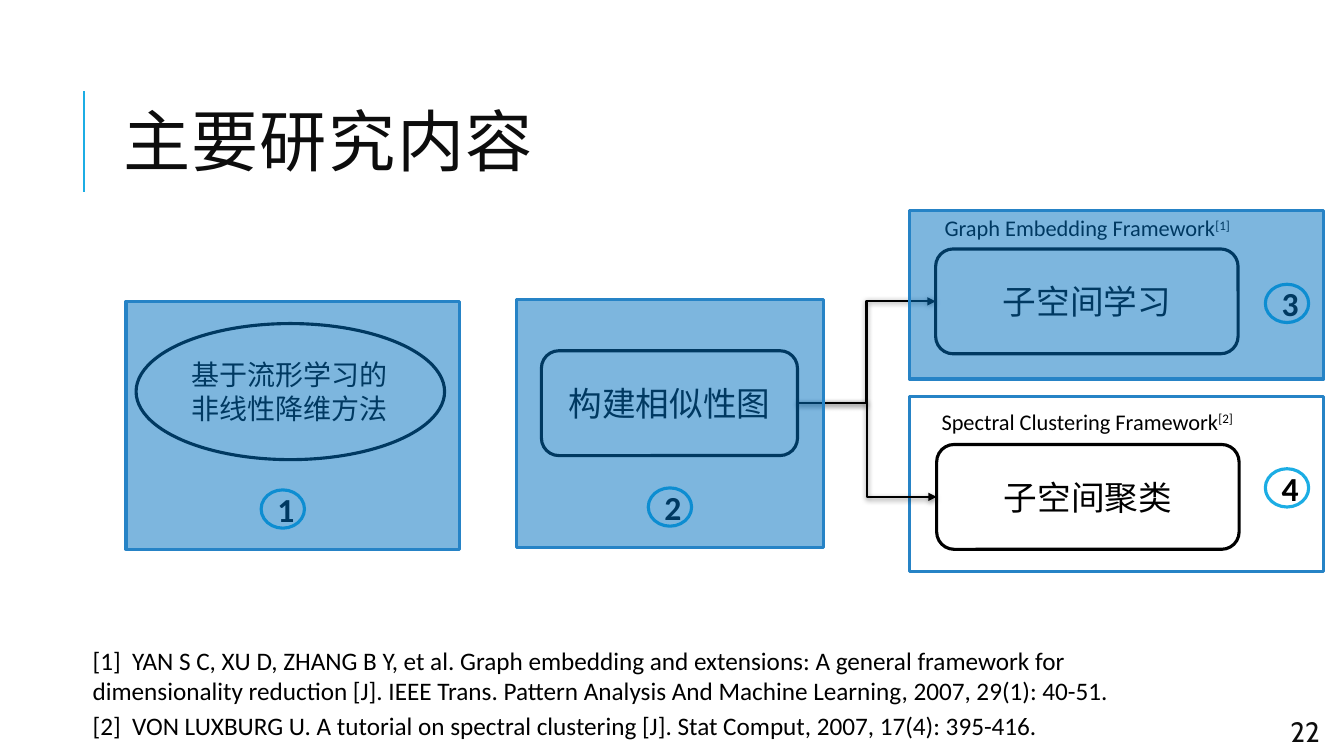
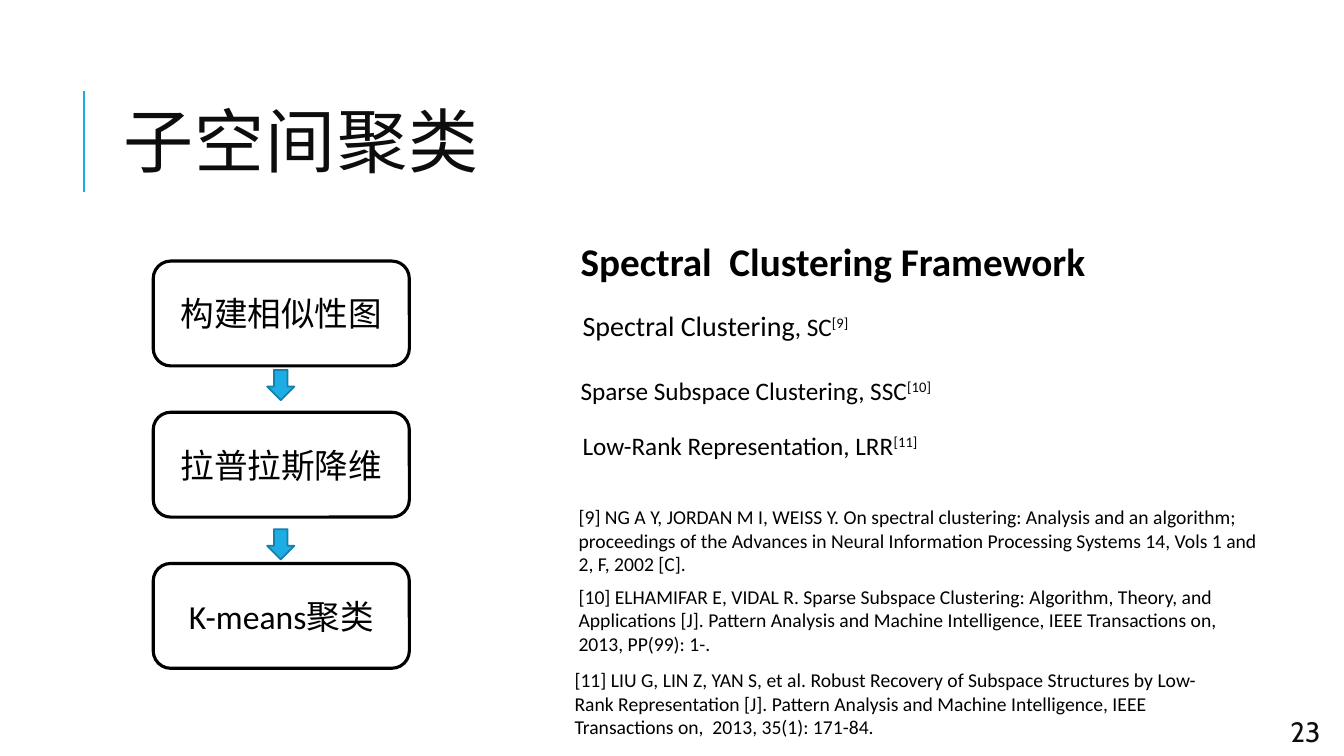
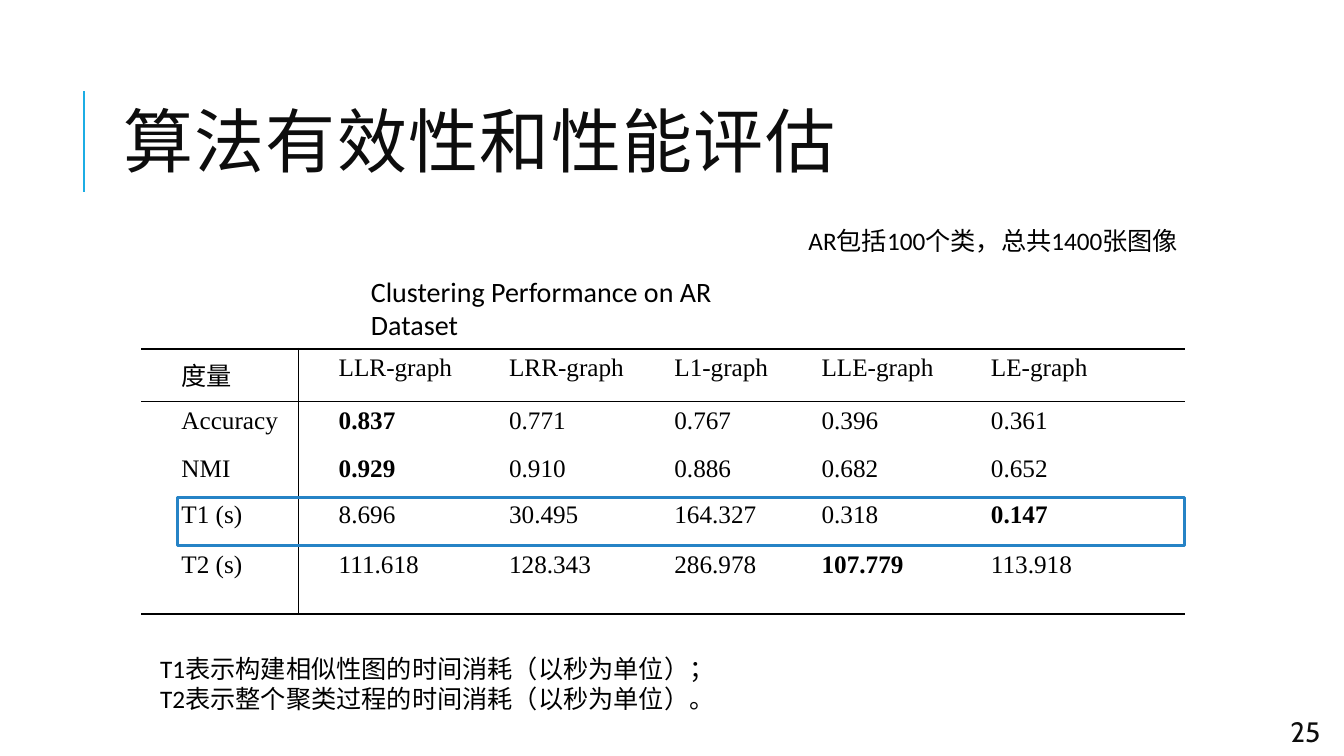
from lxml.etree import SubElement
from pptx import Presentation
from pptx.dml.color import RGBColor
from pptx.enum.shapes import MSO_CONNECTOR, MSO_SHAPE
from pptx.enum.text import MSO_ANCHOR, MSO_AUTO_SIZE, PP_ALIGN
from pptx.oxml.ns import qn
from pptx.util import Inches, Pt

BLACK, WHITE, INK = "000000", "FFFFFF", "0D0D0D"
CYAN, DARK_CYAN, BLUE, VEIL = "1CADE4", "1580A9", "2683C6", "0070C0"
rgb = RGBColor.from_string


def write(paragraph, *runs, font="Calibri", color=BLACK, bold=False, align=PP_ALIGN.LEFT):
    """Add runs given as (text, size) or (text, size, baseline percent)."""
    paragraph.alignment = align
    for text, size, *baseline in runs:
        run = paragraph.add_run()
        run.text = text
        for key, value in {"name": font, "size": Pt(size), "bold": bold}.items():
            setattr(run.font, key, value)
        run.font.color.rgb = rgb(color)
        if baseline:
            run.font._element.set("baseline", str(baseline[0] * 1000))


def add_box(slide, preset, at, line, fill=None, width=2.25, alpha=None):
    box = slide.shapes.add_shape(preset, *map(Inches, at))
    box.shadow.inherit = False
    box.line.color.rgb = rgb(line)
    box.line.width = Pt(width)
    if fill is None:
        box.fill.background()
    else:
        box.fill.solid()
        box.fill.fore_color.rgb = rgb(fill)
    if alpha:
        fill_color = box.element.spPr.find(qn("a:solidFill"))[0]
        SubElement(fill_color, qn("a:alpha"), val=str(alpha * 1000))
    return box


prs = Presentation()
prs.slide_width, prs.slide_height = Inches(13.33), Inches(7.5)
layout = prs.slide_layouts[5]
title_area = layout.placeholders[0]
for side, length in zip(("left", "top", "width", "height"), (1.12, 0.64, 10.63, 1.64)):
    setattr(title_area, side, Inches(length))

# Title, title size, page number, and text blocks as (at, bold, paragraphs)
pages = [
    ("主要研究内容", 48, "22", [
        ((9.27, 2.08, 3.3, 0.37), False, [[("Graph Embedding Framework", 16), ("[1]", 16, 30)]]),
        ((9.24, 4, 3.3, 0.37), False, [[("Spectral Clustering Framework", 16), ("[2]", 16, 30)]]),
        ((0.82, 6.35, 10.81, 0.71), False, [[(
            "[1]  YAN S C, XU D, ZHANG B Y, et al. Graph embedding and extensions: A general "
            "framework for dimensionality reduction [J]. IEEE Trans. Pattern Analysis And "
            "Machine Learning, 2007, 29(1): 40-51.", 18)]]),
        ((0.82, 7, 10.69, 0.4), False, [[(
            "[2]  VON LUXBURG U. A tutorial on spectral clustering [J]. Stat Comput, 2007, "
            "17(4): 395-416.", 18)]]),
    ]),
    ("子空间聚类", 50, "23", [
        ((5.66, 2.31, 5.35, 0.57), True, [[("Spectral  Clustering Framework", 28)]]),
        ((5.68, 3.01, 2.92, 0.74), False,
         [[("Spectral Clustering", 20), (", SC", 18), ("[9]", 18, 30)]]),
        ((5.66, 3.67, 3.83, 0.4), False,
         [[("Sparse Subspace Clustering, SSC", 18), ("[10]", 18, 30)]]),
        ((5.68, 4.22, 3.57, 0.4), False,
         [[("Low-Rank Representation, LRR", 18), ("[11]", 18, 30)]]),
        ((5.64, 4.96, 6.99, 0.81), False, [[(
            "[9] NG A Y, JORDAN M I, WEISS Y. On spectral clustering: Analysis and an "
            "algorithm; proceedings of the Advances in Neural Information Processing "
            "Systems 14, Vols 1 and 2, F, 2002 [C].", 14)]]),
        ((5.64, 5.75, 6.67, 0.81), False, [[(
            "[10] ELHAMIFAR E, VIDAL R. Sparse Subspace Clustering: Algorithm, Theory, and "
            "Applications [J]. Pattern Analysis and Machine Intelligence, IEEE Transactions "
            "on, 2013, PP(99): 1-.", 14)]]),
        ((5.6, 6.58, 6.67, 0.81), False, [[(
            "[11] LIU G, LIN Z, YAN S, et al. Robust Recovery of Subspace Structures by "
            "Low-Rank Representation [J]. Pattern Analysis and Machine Intelligence, IEEE "
            "Transactions on,  2013, 35(1): 171-84.", 14)]]),
    ]),
    ("算法有效性和性能评估", 50, "25", [
        ((7.92, 2.19, 3.97, 0.4), False, [[("AR包括100个类，总共1400张图像", 18)]]),
        ((3.58, 2.67, 4.44, 0.44), False, [[("Clustering Performance on AR Dataset", 20)]]),
        ((1.49, 6.43, 5.9, 0.71), False, [
            [("T1表示构建相似性图的时间消耗（以秒为单位）；", 18)],
            [("T2表示整个聚类过程的时间消耗（以秒为单位）。", 18)]]),
    ]),
]

slides = []
for heading, heading_size, number, blocks in pages:
    slide = prs.slides.add_slide(layout)
    slides.append(slide)
    frame = slide.shapes.title.text_frame
    frame.auto_size = MSO_AUTO_SIZE.NONE
    frame.vertical_anchor = MSO_ANCHOR.MIDDLE
    line = frame.paragraphs[0]
    line.line_spacing = 0.8
    write(line, (heading, heading_size), font="Cabin", color=INK)
    line.runs[0].font._element.set("spc", "100")

    page_number = slide.shapes.add_textbox(*map(Inches, (12.7, 7.11, 0.63, 0.3))).text_frame
    page_number.vertical_anchor = MSO_ANCHOR.MIDDLE
    write(page_number.paragraphs[0], (number, 20), font="Cabin", color=INK)

    for at, bold, paragraphs in blocks:
        frame = slide.shapes.add_textbox(*map(Inches, at)).text_frame
        frame.word_wrap = True
        for index, runs in enumerate(paragraphs):
            paragraph = frame.add_paragraph() if index else frame.paragraphs[0]
            write(paragraph, *runs, bold=bold)

overview, clustering, evaluation = slides

# The accent line beside the title belongs to the layout
accent = overview.shapes.add_connector(
    MSO_CONNECTOR.STRAIGHT, *map(Inches, (0.83, 1.9, 0.83, 0.9)))
accent.line.color.rgb = rgb(CYAN)
accent.line.width = Pt(1.5)
SubElement(accent.element.spPr, qn("a:effectLst"))
layout.shapes.element.append(accent.element)

# Research overview
add_box(overview, MSO_SHAPE.RECTANGLE, (9.02, 3.93, 4.11, 1.74), BLUE)
steps = []
for label, at in [("构建相似性图", (5.37, 3.48, 2.54, 1.04)),
                  ("子空间学习", (9.28, 2.47, 3, 1.04)),
                  ("子空间聚类", (9.29, 4.41, 3, 1.04))]:
    step = add_box(overview, MSO_SHAPE.ROUNDED_RECTANGLE, at, BLACK, WHITE)
    write(step.text_frame.paragraphs[0], (label, 24), align=PP_ALIGN.CENTER)
    steps.append(step)

graph, *targets = steps
for target in targets:
    branch = overview.shapes.add_connector(MSO_CONNECTOR.ELBOW, 0, 0, 0, 0)
    branch.begin_connect(graph, 3)
    branch.end_connect(target, 1)
    branch.line.color.rgb = rgb(BLACK)
    branch.line.width = Pt(1.5)
    SubElement(branch.line._get_or_add_ln(), qn("a:tailEnd"), type="triangle")
    effects = SubElement(branch.element.spPr, qn("a:effectLst"))
    shadow = SubElement(effects, qn("a:outerShdw"), blurRad=str(Pt(4)), dist=str(Pt(1)),
                        dir="5400000", rotWithShape="0")
    shade = SubElement(shadow, qn("a:srgbClr"), val=BLACK)
    SubElement(shade, qn("a:alpha"), val="50000")

manifold = add_box(overview, MSO_SHAPE.OVAL, (1.35, 3.21, 3.06, 1.35), BLACK, WHITE)
write(manifold.text_frame.paragraphs[0], ("基于流形学习的非线性降维方法", 20))

badge_corners = [(2.59, 4.86), (6.43, 4.84), (12.55, 2.82), (12.55, 4.65)]
for number, corner in enumerate(badge_corners, 1):
    badge = add_box(overview, MSO_SHAPE.OVAL, (*corner, 0.43, 0.38), CYAN, WHITE)
    write(badge.text_frame.paragraphs[0], (str(number), 24), bold=True, align=PP_ALIGN.CENTER)

for at in [(1.25, 2.99, 3.31, 2.46), (5.12, 2.97, 3.05, 2.46), (9.02, 2.09, 4.11, 1.67)]:
    add_box(overview, MSO_SHAPE.RECTANGLE, at, BLUE, VEIL, alpha=51)

# Subspace clustering flow
for index, label in enumerate(["构建相似性图", "拉普拉斯降维", "K-means聚类"]):
    stage = add_box(clustering, MSO_SHAPE.ROUNDED_RECTANGLE,
                    (1.52, 2.59 + 1.5 * index, 2.54, 1.04), BLACK, WHITE)
    write(stage.text_frame.paragraphs[0], (label, 24), align=PP_ALIGN.CENTER)
for top in (3.67, 5.25):
    add_box(clustering, MSO_SHAPE.DOWN_ARROW, (2.65, top, 0.27, 0.3), DARK_CYAN, CYAN, width=1.25)

# Evaluation table
results = [
    ["度量", "LLR-graph", "LRR-graph", "L1-graph", "LLE-graph", "LE-graph"],
    ["Accuracy", "0.837", "0.771", "0.767", "0.396", "0.361"],
    ["NMI", "0.929", "0.910", "0.886", "0.682", "0.652"],
    ["T1 (s)", "8.696", "30.495", "164.327", "0.318", "0.147"],
    ["T2 (s)", "111.618", "128.343", "286.978", "107.779", "113.918"],
]
best = {"0.837", "0.929", "0.147", "107.779"}
last_row = len(results) - 1
table = evaluation.shapes.add_table(
    len(results), len(results[0]), *map(Inches, (1.4, 3.46, 10.35, 2.63))).table
table.first_row = table.horz_banding = False
for column, width in zip(table.columns, (1.56, 1.69, 1.64, 1.46, 1.68, 2.32)):
    column.width = Inches(width)
for row, height in zip(table.rows, (0.52, 0.48, 0.46, 0.49, 0.68)):
    row.height = Inches(height)

cell_margins = {"margin_left": Inches(0.07), "margin_right": Inches(0.07),
                "margin_top": 0, "margin_bottom": 0}
cell_spacing = {"line_spacing": 1.2, "space_before": Pt(6), "space_after": Pt(6)}
for r, values in enumerate(results):
    for c, value in enumerate(values):
        cell = table.cell(r, c)
        for key, length in cell_margins.items():
            setattr(cell, key, length)
        paragraph = cell.text_frame.paragraphs[0]
        for key, amount in cell_spacing.items():
            setattr(paragraph, key, amount)
        write(paragraph, (value, 18), font="Times New Roman", bold=value in best,
              align=PP_ALIGN.JUSTIFY)
        paragraph._p.get_or_add_pPr().set("indent", str(Inches(0.33)))
        borders = {
            "a:lnL": 1 if c == 1 else 0,
            "a:lnR": 1 if c == 0 else 0,
            "a:lnT": {0: 1.5, 1: 1}.get(r, 0),
            "a:lnB": {0: 1, last_row: 1.5}.get(r, 0),
        }
        properties = cell._tc.get_or_add_tcPr()
        for tag, weight in borders.items():
            edge = SubElement(properties, qn(tag), w=str(Pt(weight)))
            if weight:
                paint = SubElement(edge, qn("a:solidFill"))
                SubElement(paint, qn("a:srgbClr"), val=BLACK)
            else:
                SubElement(edge, qn("a:noFill"))
        cell.fill.background()

add_box(evaluation, MSO_SHAPE.RECTANGLE, (1.76, 4.94, 9.99, 0.47), BLUE)

prs.save("out.pptx")
